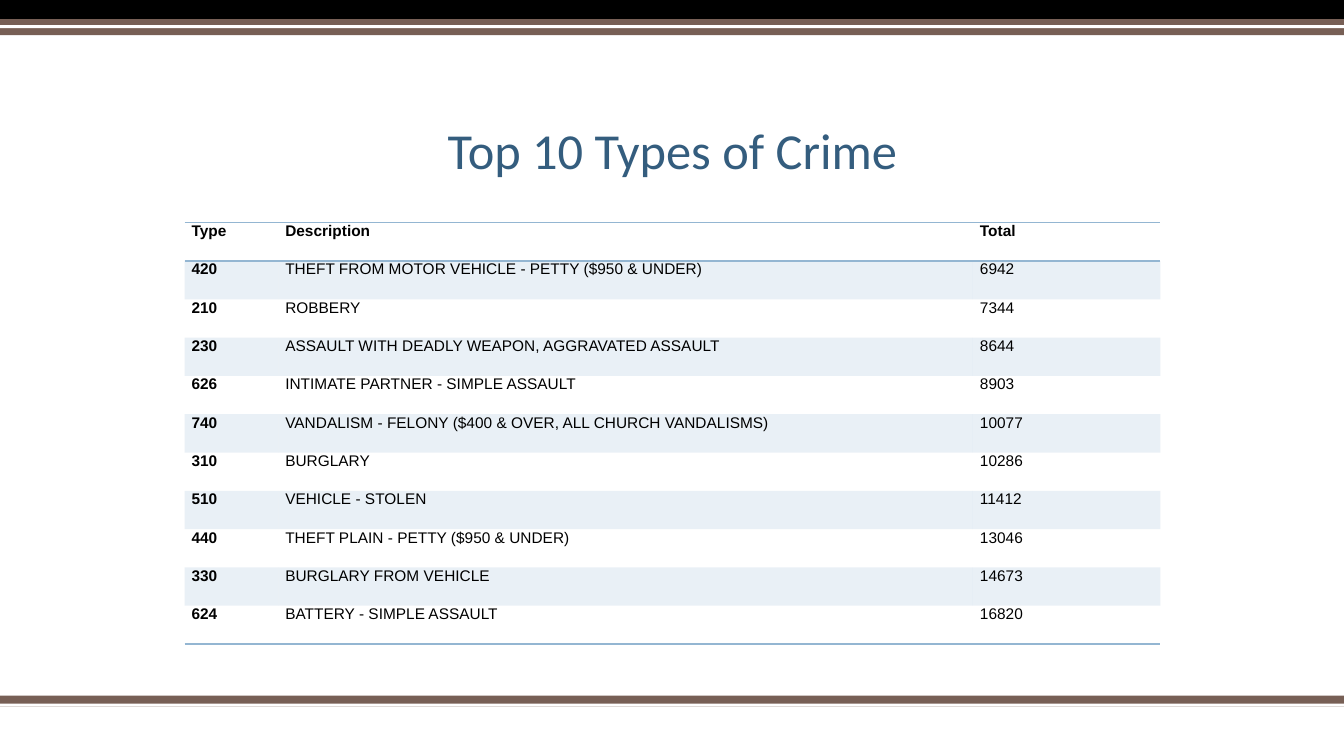
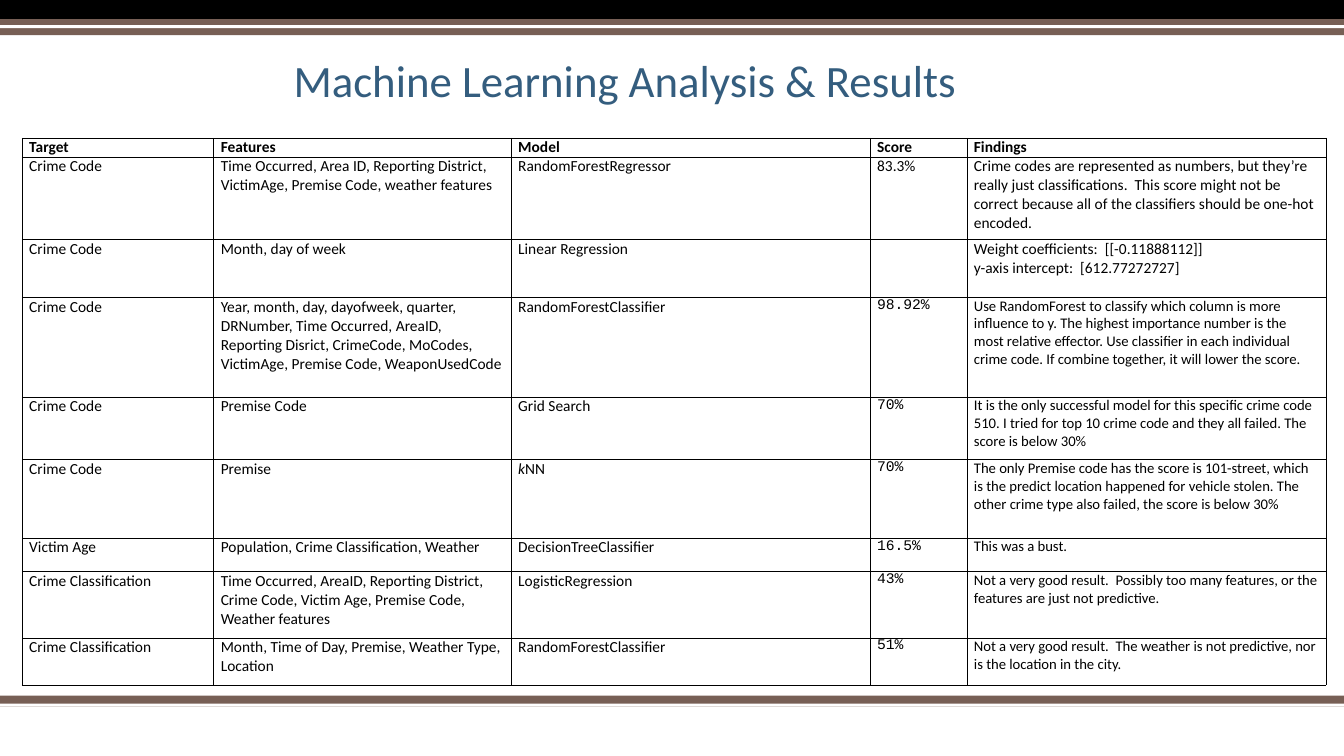
from pptx import Presentation
from pptx import util as u
from pptx.dml.color import RGBColor
from pptx.enum import shapes, text
from pptx.oxml import parse_xml
from pptx.oxml.ns import nsdecls, qn

BLACK = RGBColor(0x00, 0x00, 0x00)
WHITE = RGBColor(0xFF, 0xFF, 0xFF)
BROWN = RGBColor(0x77, 0x5F, 0x55)
NAVY = RGBColor(0x34, 0x5D, 0x7E)
SKY = RGBColor(0x94, 0xB6, 0xD2)

PLAIN_TABLE = "{2D5ABB26-0587-4C30-8999-92F81FD0307C}"  # no style, no grid
SLIDE_WIDTH = 13.33
BANDS = [  # top, height, colour
    (6.9, 0.11, BROWN),
    (6.98, 0.03, WHITE),
    (0, 0.19, BLACK),
    (0.19, 0.16, BROWN),
    (0.25, 0.03, WHITE),
]

ARIAL = dict(name="Arial", size=u.Pt(11), bold=False)
CALIBRI = dict(name="Calibri", size=u.Pt(11), bold=False)
SMALL = CALIBRI | dict(size=u.Pt(10.5))
MONO = SMALL | dict(name="Courier New")

CRIMES = [
    ("Type", "Description", "Total"),
    ("420", "THEFT FROM MOTOR VEHICLE - PETTY ($950 & UNDER)", "6942"),
    ("210", "ROBBERY", "7344"),
    ("230", "ASSAULT WITH DEADLY WEAPON, AGGRAVATED ASSAULT", "8644"),
    ("626", "INTIMATE PARTNER - SIMPLE ASSAULT", "8903"),
    ("740", "VANDALISM - FELONY ($400 & OVER, ALL CHURCH VANDALISMS)", "10077"),
    ("310", "BURGLARY", "10286"),
    ("510", "VEHICLE - STOLEN", "11412"),
    ("440", "THEFT PLAIN - PETTY ($950 & UNDER)", "13046"),
    ("330", "BURGLARY FROM VEHICLE", "14673"),
    ("624", "BATTERY - SIMPLE ASSAULT", "16820"),
]

MODELS = [
    ("Target", "Features", "Model", "Score", "Findings"),
    ("Crime Code",
     "Time Occurred, Area ID, Reporting District, VictimAge, Premise Code, weather features",
     "RandomForestRegressor", "83.3%",
     "Crime codes are represented as numbers, but they’re really just classifications.  "
     "This score might not be correct because all of the classifiers should be one-hot encoded."),
    ("Crime Code", "Month, day of week", "Linear Regression", "",
     "Weight coefficients:  [[-0.11888112]]\ny-axis intercept:  [612.77272727]"),
    ("Crime Code",
     "Year, month, day, dayofweek, quarter, DRNumber, Time Occurred, AreaID, Reporting Disrict, "
     "CrimeCode, MoCodes, VictimAge, Premise Code, WeaponUsedCode",
     "RandomForestClassifier", "98.92%",
     "Use RandomForest to classify which column is more influence to y. The highest importance "
     "number is the most relative effector. Use classifier in each individual crime code. "
     "If combine together, it will lower the score."),
    ("Crime Code", "Premise Code", "Grid Search", "70%",
     "It is the only successful model for this specific crime code 510. I tried for top 10 "
     "crime code and they all failed. The score is below 30%"),
    ("Crime Code", "Premise", "kNN", "70%",
     "The only Premise code has the score is 101-street, which is the predict location happened "
     "for vehicle stolen. The other crime type also failed, the score is below 30%"),
    ("Victim Age", "Population, Crime Classification, Weather",
     "DecisionTreeClassifier", "16.5%", "This was a bust."),
    ("Crime Classification",
     "Time Occurred, AreaID, Reporting District, Crime Code, Victim Age, Premise Code, "
     "Weather features",
     "LogisticRegression", "43%",
     "Not a very good result.  Possibly too many features, or the features are just not predictive."),
    ("Crime Classification", "Month, Time of Day, Premise, Weather Type, Location",
     "RandomForestClassifier", "51%",
     "Not a very good result.  The weather is not predictive, nor is the location in the city."),
]


def apply(target, values):
    for name, value in values.items():
        setattr(target, name, value)


class Slides:
    """Holds the shared style, the deck and the current page."""

    def __init__(self):
        self.deck = Presentation()
        self.deck.slide_width = u.Inches(SLIDE_WIDTH)
        self.deck.slide_height = u.Inches(7.5)
        self.page = None

    def add_page(self, title, size, left, top, width, height):
        self.page = self.deck.slides.add_slide(self.deck.slide_layouts[5])
        for band in BANDS:
            self.band(*band)
        box = self.page.shapes.title
        apply(box, dict(left=u.Inches(left), top=u.Inches(top),
                        width=u.Inches(width), height=u.Inches(height)))
        frame = box.text_frame
        frame.text = title
        apply(frame, dict(word_wrap=True, auto_size=text.MSO_AUTO_SIZE.NONE,
                          vertical_anchor=text.MSO_ANCHOR.BOTTOM))
        para = frame.paragraphs[0]
        apply(para, dict(alignment=text.PP_ALIGN.CENTER, line_spacing=0.9))
        apply(para.font, dict(name="Calibri", size=u.Pt(size)))
        para.font.color.rgb = NAVY

    def band(self, top, height, color):
        bar = self.page.shapes.add_shape(
            shapes.MSO_SHAPE.RECTANGLE, 0, u.Inches(top), u.Inches(SLIDE_WIDTH), u.Inches(height))
        bar.shadow.inherit = False
        bar.fill.solid()
        bar.fill.fore_color.rgb = color
        bar.line.fill.background()

    def table(self, rows, left, top, widths, heights, font_at):
        """Add a plain table; font_at(row, column) gives the font values."""
        table = self.page.shapes.add_table(
            len(rows), len(widths), u.Inches(left), u.Inches(top),
            u.Inches(sum(widths)), u.Inches(sum(heights))).table
        apply(table, dict(first_row=False, horz_banding=False))
        table._tbl.tblPr.find(qn("a:tableStyleId")).text = PLAIN_TABLE
        for column, width in zip(table.columns, widths):
            column.width = u.Inches(width)
        for row, height in zip(table.rows, heights):
            row.height = u.Inches(height)
        for r, values in enumerate(rows):
            for c, value in enumerate(values):
                self.cell(table.cell(r, c), value, font_at(r, c))
        return table

    def cell(self, cell, value, font):
        apply(cell, dict(margin_left=u.Inches(0.07), margin_right=u.Inches(0.07),
                         margin_top=0, margin_bottom=0))
        cell.text = value
        for para in cell.text_frame.paragraphs:
            apply(para.font, font)
            para.font.color.rgb = BLACK
        cell.fill.background()

    def borders(self, cell, sides, color, points):
        """Draw borders on sides, a string in the order L, R, T, B."""
        for index, side in enumerate(sides):
            cell._tc.get_or_add_tcPr().insert(index, parse_xml(
                f'<a:ln{side} {nsdecls("a")} w="{u.Pt(points)}"><a:solidFill>'
                f'<a:srgbClr val="{color}"/></a:solidFill></a:ln{side}>'))

    def tint(self, cell, color, percent):
        cell.fill.solid()
        cell.fill.fore_color.rgb = color
        shade = cell._tc.tcPr.find(".//" + qn("a:solidFill") + "/" + qn("a:srgbClr"))
        shade.append(parse_xml(f'<a:alpha {nsdecls("a")} val="{percent * 1000}"/>'))


def crime_font(row, column):
    return ARIAL | dict(bold=row == 0 or column == 0)


def model_font(row, column):
    if row == 0:
        return CALIBRI | dict(bold=True)
    if row >= 3 and column >= 3:
        return MONO if column == 3 else SMALL
    return CALIBRI


def main():
    slides = Slides()

    # Ten most frequent crimes
    slides.add_page("Top 10 Types of Crime", 36, 1.67, 0.67, 10, 1.17)
    table = slides.table(CRIMES, 1.83, 2.21, [0.93, 6.89, 1.86], [0.38] * len(CRIMES), crime_font)
    rules = {0: "TB", len(CRIMES) - 1: "B"}
    for r, row in enumerate(table.rows):
        for cell in row.cells:
            if r % 2:
                slides.tint(cell, SKY, 20)
            slides.borders(cell, rules.get(r, ""), SKY, 1)

    # Model comparison
    slides.add_page("Machine Learning Analysis & Results", 32, 1.2, 0.51, 10, 0.6)
    table = slides.table(MODELS, 0.22, 1.37, [1.9, 2.95, 3.56, 0.96, 3.56],
                         [0.17, 0.82, 0.57, 0.99, 0.62, 0.78, 0.33, 0.66, 0.47], model_font)
    for cell in table.iter_cells():
        slides.borders(cell, "LRTB", BLACK, 0.5)

    # Italic k in the neighbour model's name
    para = table.cell(5, 2).text_frame.paragraphs[0]
    para.runs[0].text = "k"
    para.runs[0].font.italic = True
    para.add_run().text = "NN"

    slides.deck.save("out.pptx")


if __name__ == "__main__":
    main()
